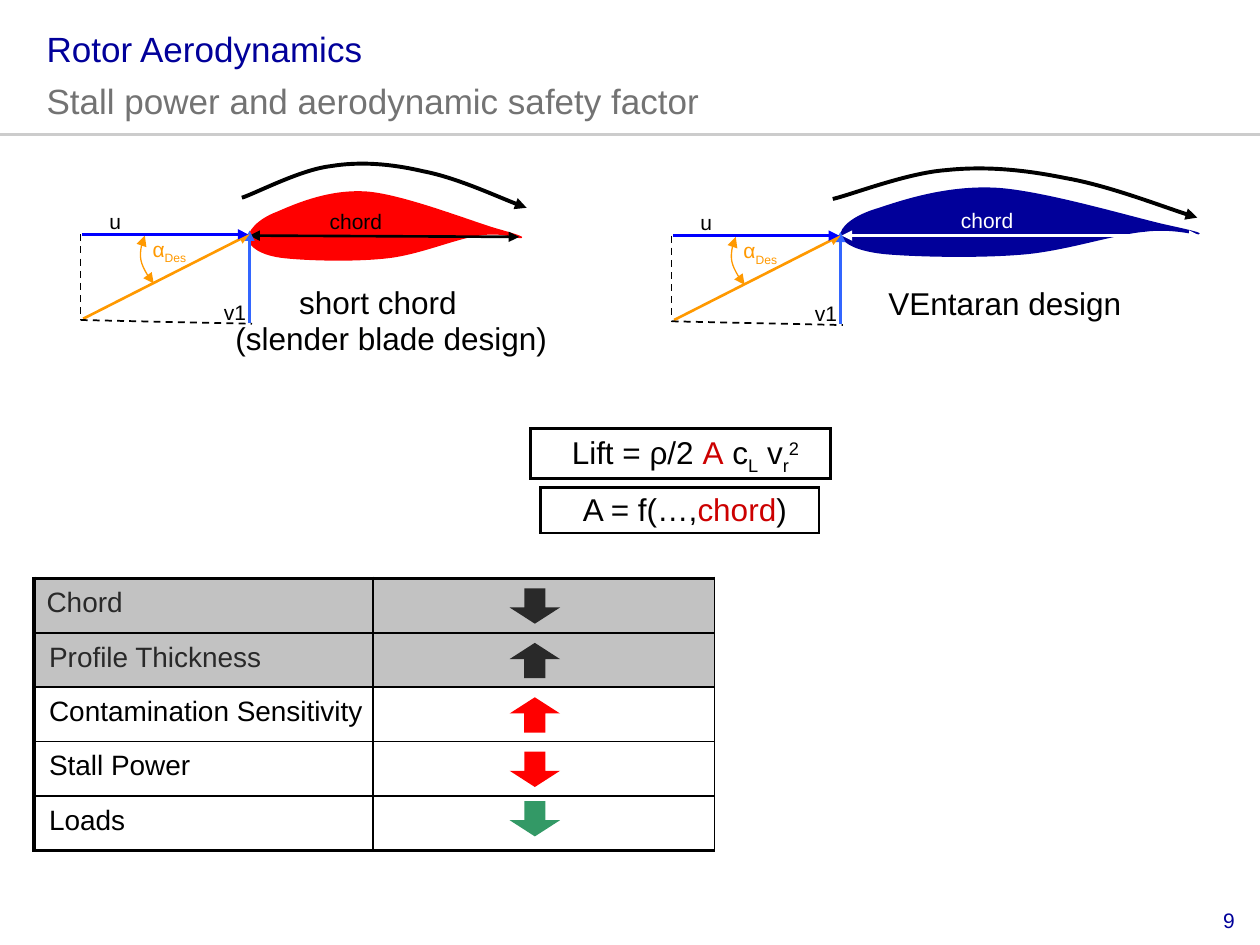
from lxml import etree
from pptx import Presentation
from pptx.dml.color import RGBColor
from pptx.enum.dml import MSO_LINE
from pptx.enum.shapes import MSO_CONNECTOR, MSO_SHAPE
from pptx.enum.text import MSO_ANCHOR, PP_ALIGN
from pptx.oxml.ns import qn
from pptx.util import Inches, Pt

LEFT, MID, RIGHT = PP_ALIGN.LEFT, PP_ALIGN.CENTER, PP_ALIGN.RIGHT
CENTER = MSO_ANCHOR.MIDDLE
DASH = MSO_LINE.DASH
STRAIGHT = MSO_CONNECTOR.STRAIGHT
ARROW, RECT = MSO_SHAPE.UP_ARROW, MSO_SHAPE.RECTANGLE

BLACK = RGBColor(0, 0, 0)
WHITE = RGBColor(255, 255, 255)
NAVY = RGBColor(0x01, 0x00, 0x9A)
GRAY = RGBColor(0x73, 0x73, 0x73)
RULE = RGBColor(0xCC, 0xCC, 0xCC)
SHADE = RGBColor(0xC2, 0xC2, 0xC2)
DARK = RGBColor(0x29, 0x29, 0x29)
RED = RGBColor(0xFF, 0, 0)
CRIMSON = RGBColor(0xCC, 0, 0)
GREEN = RGBColor(0x33, 0x99, 0x66)
ORANGE = RGBColor(0xFF, 0x99, 0)
BLUE = RGBColor(0, 0, 0xFF)
SKY = RGBColor(0x33, 0x66, 0xFF)

COLS, ROWS = 100, 75
UNIT = Inches(10) / COLS
PAD = (1.2, 0.4, 0.4, 0.4)

BLADE = [(21.8, 3.9), (21.6, 4), (20.2, 3.4), (18.5, 3.7),
         (16.7, 3.9), (13.8, 5.2), (11.2, 5.5),
         (8.6, 5.8), (4.9, 5.7), (3, 5.5),
         (1.1, 5.3), (0.2, 4.6), (0.1, 4),
         (0, 3.4), (0.8, 2.4), (2.4, 1.8),
         (4, 1.1), (6.6, 0), (9.5, 0.2),
         (12.3, 0.4), (17.7, 2.5), (19.7, 3.1),
         (21.8, 3.7), (22, 3.8), (21.8, 3.9)]
FLOW = [(0, 0), (1.2, -0.4), (4.6, -2.2), (7, -2.5),
        (9.4, -2.9), (11.8, -2.7), (14.4, -2.1),
        (17, -1.6), (20.9, 0.2), (22.6, 0.8)]
ANGLE = [(0, 0), (-0.6, 1.1), (-0.3, 2.7), (0.7, 3.8)]

TABLE = [("Chord", DARK, SHADE, DARK, 180, 0.8),
         ("Profile Thickness", DARK, SHADE, DARK, 0, 0.8),
         ("Contamination Sensitivity", BLACK, WHITE, RED, 0, 0.8),
         ("Stall Power", BLACK, WHITE, RED, 180, 0.8),
         ("Loads", BLACK, WHITE, GREEN, 180, 0.4)]


def grid(*vals):
    return [round(v * UNIT) for v in vals]


def paint(shape, color):
    shape.fill.solid()
    shape.fill.fore_color.rgb = color


def write(frame, runs, size=12, color=BLACK, align=MID, lead=0.95, hang=0):
    para = frame.paragraphs[0]
    para.alignment = align
    para.line_spacing = lead
    if hang:
        props = para._p.get_or_add_pPr()
        props.set("marL", str(grid(hang)[0]))
        props.set("indent", str(grid(-hang)[0]))
    if isinstance(runs, str):
        runs = [(runs,)] if runs else []
    for words, *rest in runs:
        if words == "\n":
            para.add_line_break()
            continue
        run = para.add_run()
        run.text = words
        font = run.font
        font.name, font.size = "Arial", Pt(size)
        font.color.rgb = rest[0] if rest else color
        if len(rest) > 1:
            run._r.get_or_add_rPr().set("baseline", str(rest[1] * 1000))


def label(slide, box, runs, pad=PAD, plate=False, border=False, wrap=False, **form):
    if plate or border:
        shape = slide.shapes.add_shape(RECT, *grid(*box))
        shape.shadow.inherit = False
        paint(shape, WHITE)
        if border:
            stroke(shape, BLACK, 1.5)
        else:
            shape.line.fill.background()
    else:
        shape = slide.shapes.add_textbox(*grid(*box))
    frame = shape.text_frame
    frame.word_wrap = wrap
    frame.vertical_anchor = CENTER
    (frame.margin_left, frame.margin_top,
     frame.margin_right, frame.margin_bottom) = grid(*pad)
    write(frame, runs, **form)


def stroke(shape, color, width, ends="", dash=None):
    shape.line.color.rgb = color
    shape.line.width = Pt(width)
    if dash:
        shape.line.dash_style = dash
    ln = shape.element.spPr.find(qn("a:ln"))
    etree.SubElement(ln, qn("a:miter")).set("lim", "800000")
    for end in ends.split():
        etree.SubElement(ln, qn(f"a:{end}End")).set("type", "triangle")


def line(slide, ends, color, width, heads="", dash=None):
    link = slide.shapes.add_connector(STRAIGHT, *grid(*ends))
    stroke(link, color, width, heads, dash)
    etree.SubElement(link.element.spPr, qn("a:effectLst"))


def curve(slide, knots, x, y, scale=1.0, tilt=0.0, close=False):
    points = [grid(x + px * scale, y + py + px * tilt) for px, py in knots]
    form = slide.shapes.build_freeform(*points[0])
    form.add_line_segments(points[1:], close=close)
    shape = form.convert_to_shape()
    legs = list(shape.element.iter(qn("a:lnTo")))
    for i in range(0, len(knots) - 1, 3):
        bend = etree.Element(qn("a:cubicBezTo"))
        legs[i].addprevious(bend)
        for leg in legs[i:i + 3]:
            bend.append(leg[0])
            leg.getparent().remove(leg)
    shape.shadow.inherit = False
    shape.fill.background()
    return shape


def blade(slide, x, y, scale, color):
    shape = curve(slide, BLADE, x, y, scale, close=True)
    paint(shape, color)
    shape.line.fill.background()


def flow(slide, x, y, scale=1.0, tilt=0.0):
    stroke(curve(slide, FLOW, x, y, scale, tilt), BLACK, 2.25, "tail")


def speeds(slide, x, y):
    label(slide, (x + 3.9, y - 0.2, 5.5, 2.9),
          [("α", ORANGE), ("Des", ORANGE, -25)], plate=True)
    label(slide, (x - 0.4, y - 2.3, 5.5, 2.7), "u", plate=True)
    label(slide, (x + 8.1, y + 4.9, 7.5, 2.7), "v1", plate=True)
    line(slide, (x + 13.4, y + 7, x + 13.4, y - 0.3), SKY, 1.5, "tail")
    line(slide, (x + 0.2, y + 6.7, x + 13.4, y), ORANGE, 1.5, "tail")
    line(slide, (x, y, x, y + 6.8), BLACK, 1, dash=DASH)
    line(slide, (x, y + 6.8, x + 13.6, y + 7.1), BLACK, 1, dash=DASH)
    stroke(curve(slide, ANGLE, x + 5.1, y + 0.1), ORANGE, 0.75, "head tail")
    line(slide, (x + 0.1, y, x + 13.3, y), BLUE, 1.5, "tail")


def edge(cell, sides):
    props = cell._tc.get_or_add_tcPr()
    for i, (side, width) in enumerate(sides):
        ln = etree.Element(qn(f"a:ln{side}"), w=str(Pt(width)))
        fill = etree.SubElement(ln, qn("a:solidFill"))
        etree.SubElement(fill, qn("a:srgbClr")).set("val", str(BLACK))
        props.insert(i, ln)


def table(slide, x, y, widths, high):
    last = len(TABLE) - 1
    tab = slide.shapes.add_table(
        len(TABLE), 2, *grid(x, y, sum(widths), high * len(TABLE))).table
    tab.first_row = tab.horz_banding = False
    for col, width in zip(tab.columns, widths):
        col.width = grid(width)[0]
    for r, (name, ink, back, tint, turn, drop) in enumerate(TABLE):
        tab.rows[r].height = grid(high)[0]
        for c, words in enumerate((name, "")):
            cell = tab.cell(r, c)
            (cell.margin_left, cell.margin_top,
             cell.margin_right, cell.margin_bottom) = grid(1.2 if r else 1, 0.8, 0.4, 0.4)
            cell.vertical_anchor = CENTER
            paint(cell, back)
            write(cell.text_frame, words, size=16, color=ink, align=LEFT, lead=Pt(12))
            edge(cell, [("L", 1 if c else 2.25), ("R", 1),
                        ("T", 1 if r else 2.25), ("B", 2.25 if r == last else 1)])
        arrow = slide.shapes.add_shape(ARROW, *grid(40.45, y + r * high + drop, 4, 2.8))
        arrow.adjustments[0], arrow.adjustments[1] = 0.42, 0.46
        arrow.rotation = turn
        arrow.shadow.inherit = False
        paint(arrow, tint)
        arrow.line.fill.background()


def main():
    deck = Presentation()
    deck.slide_width, deck.slide_height = grid(COLS, ROWS)
    slide = deck.slides.add_slide(deck.slide_layouts[5])
    title = slide.shapes.title
    title.left, title.top, title.width, title.height = grid(2.7, 1.1, 72.4, 8.8)
    title.text_frame.vertical_anchor = CENTER
    write(title.text_frame,
          [("Rotor Aerodynamics ", NAVY), ("\n",),
           ("Stall power and aerodynamic safety factor", GRAY)],
          size=20, align=LEFT, lead=Pt(30))
    line(slide, (0, 10.7, COLS, 10.7), RULE, 1.5)
    label(slide, (93, 71.9, 5.8, 2.4), "9", pad=(0.8, 0.4, 0.8, 0.5),
          wrap=True, color=NAVY, align=RIGHT, lead=1.0)

    blade(slide, 19.6, 15, 1, RED)
    blade(slide, 66.6, 14.7, 1.31, NAVY)
    line(slide, (66.8, 18.7, 95.2, 18.7), WHITE, 1.5, "head tail")
    line(slide, (19.8, 18.7, 41.2, 18.8), BLACK, 1.5, "head tail")
    speeds(slide, 6.4, 18.6)
    speeds(slide, 53.3, 18.7)
    flow(slide, 19.2, 15.7)
    flow(slide, 66.1, 15.8, 1.28, 0.03)
    label(slide, (14.9, 22.3, 29.4, 6.5),
          [("short chord",), ("\n",), ("(slender blade design)",)], size=18, hang=2.1)
    label(slide, (67.3, 22.4, 24.1, 3.6), "VEntaran design", size=18)

    label(slide, (42.1, 34, 23.8, 4),
          [("Lift = ρ/2 ",), ("A", CRIMSON), (" c",), ("L", BLACK, -25),
           (" v",), ("r", BLACK, -25), ("2", BLACK, 30)], size=18, border=True)
    label(slide, (42.9, 38.7, 22.1, 3.6),
          [("A = f(…,",), ("chord", CRIMSON), (")",)], size=18, border=True)
    table(slide, 2.7, 45.9, (26.9, 27.1), 4.32)
    label(slide, (22.9, 16.3, 9.9, 2.7), "chord")
    label(slide, (73, 16.2, 9.9, 2.7), "chord", color=WHITE)
    deck.save("out.pptx")


if __name__ == "__main__":
    main()
